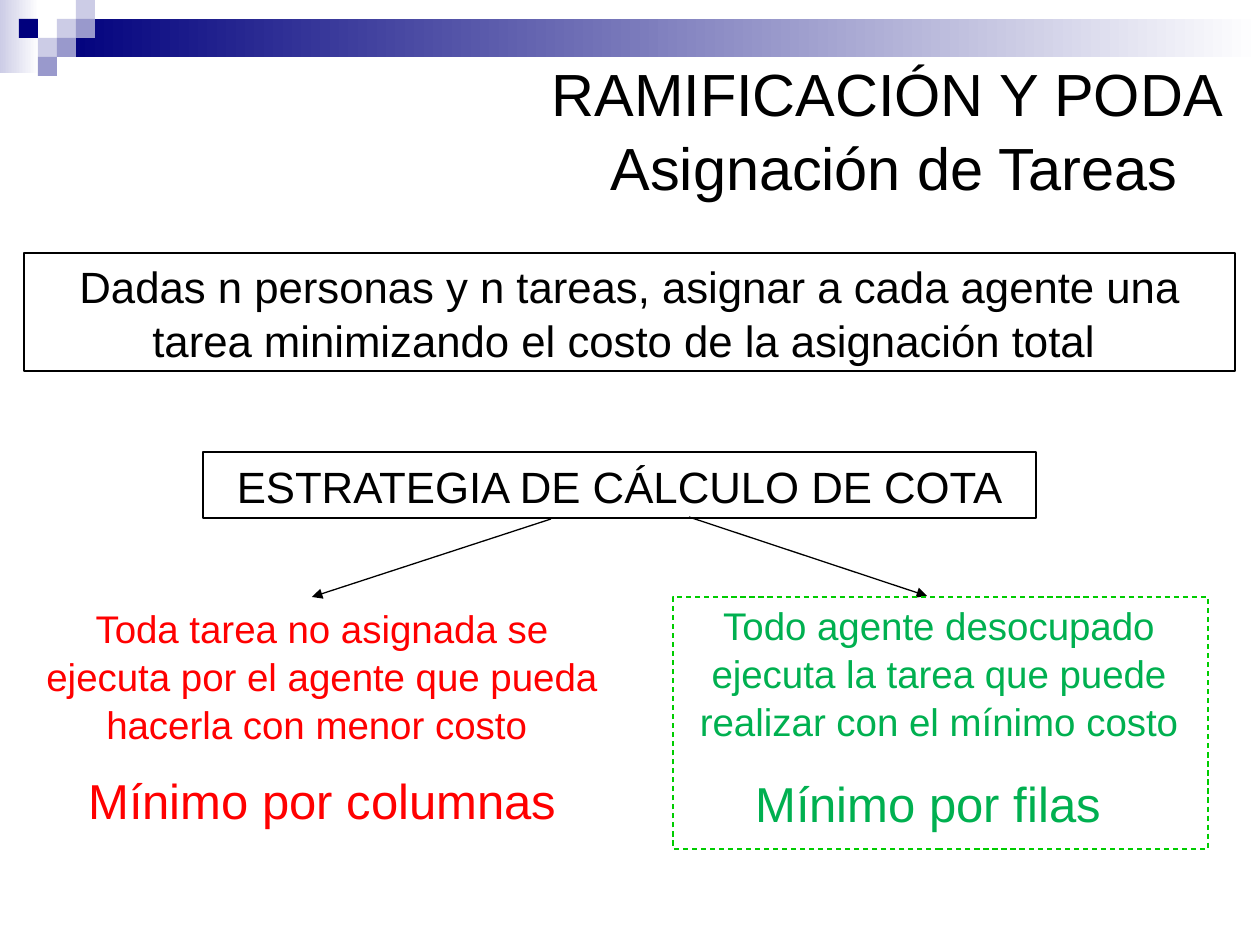
from lxml import etree
from pptx import Presentation, util as u
from pptx.dml.color import RGBColor
from pptx.enum import dml, shapes, text
from pptx.oxml.ns import qn

PX_PER_INCH = 126
BLACK, RED, GREEN = "000000", "FF0000", "00B050"
NAVY, LILAC, LAVENDER, WHITE = "00007D", "9999CC", "CCCCE6", "FFFFFF"


def px(length):
    return u.Emu(round(length * 914400 / PX_PER_INCH))


def rgb(value):
    return RGBColor.from_string(value)


def set_attributes(target, values):
    for name, value in values.items():
        setattr(target, name, value)


def write(frame, wording, size, color, align="CENTER", anchor="MIDDLE", wrap=True):
    set_attributes(frame, {
        "word_wrap": wrap,
        "auto_size": text.MSO_AUTO_SIZE.NONE,
        "vertical_anchor": getattr(text.MSO_ANCHOR, anchor),
    })
    frame.text = wording
    paragraph = frame.paragraphs[0]
    set_attributes(paragraph, {
        "alignment": getattr(text.PP_ALIGN, align),
        "line_spacing": 1.04,
    })
    font = paragraph.runs[0].font
    for run in paragraph.runs:
        font = run.font
        set_attributes(font, {"name": "Arial", "size": u.Pt(size)})
        font.color.rgb = rgb(color)


def add_rect(slide, box, fill=None, line=None, dash=None):
    """Draw a rectangle; fill is None, one colour or a pair for a gradient."""
    rect = slide.shapes.add_shape(shapes.MSO_SHAPE.RECTANGLE, *map(px, box))
    rect.shadow.inherit = False
    if fill is None:
        rect.fill.background()
    elif isinstance(fill, tuple):
        rect.fill.gradient()
        rect.fill.gradient_angle = 0
        for position, (stop, color) in enumerate(zip(rect.fill.gradient_stops, fill)):
            stop.position = position
            stop.color.rgb = rgb(color)
    else:
        rect.fill.solid()
        rect.fill.fore_color.rgb = rgb(fill)
    if line is None:
        rect.line.fill.background()
    else:
        rect.line.color.rgb = rgb(line)
        set_attributes(rect.line, {"width": u.Pt(0.75), "dash_style": dash})
    return rect


def add_label(slide, box, wording, size, color, **layout):
    label = slide.shapes.add_textbox(*map(px, box))
    write(label.text_frame, wording, size, color, **layout)


def add_framed_text(slide, box, wording):
    write(add_rect(slide, box, line=BLACK).text_frame, wording, 25, BLACK)


def add_arrow(slide, start, end):
    arrow = slide.shapes.add_connector(
        shapes.MSO_CONNECTOR.STRAIGHT, *map(px, start + end))
    arrow.line.color.rgb = rgb(BLACK)
    arrow.line.width = u.Pt(0.75)
    etree.SubElement(arrow.line._get_or_add_ln(), qn("a:tailEnd"), type="triangle")
    etree.SubElement(arrow._element.spPr, qn("a:effectLst"))


def add_banner(slide, box):
    """Gradient bar with a mosaic of squares at its left end."""
    left, top, width, height = box
    cell = 19
    add_rect(slide, (left, top, 39, height), (LAVENDER, WHITE))
    add_rect(slide, (left + 3 * cell, top + cell, width - 3 * cell, 2 * cell),
             (NAVY, WHITE))
    mosaic = [(3, 1, LAVENDER), (4, 0, LAVENDER), (4, 1, LILAC), (2, 2, LAVENDER),
              (1, 1, NAVY), (3, 2, LILAC), (2, 3, LILAC)]
    for column, row, color in mosaic:
        add_rect(slide, (left + column * cell, top + row * cell, cell, cell), color)


def add_title(slide, box):
    title = slide.shapes.title
    set_attributes(title, dict(zip(("left", "top", "width", "height"), map(px, box))))
    write(title.text_frame, "RAMIFICACIÓN Y PODA\v Asignación de Tareas", 34, BLACK)


def add_branch(slide, box, rule, summary, summary_box, color):
    """Rule above its summary; summary_box is relative to box."""
    left, top, width, _ = box
    dx, dy, summary_width, summary_height = summary_box
    add_label(slide, (left, top, width, 151), rule, 22, color)
    add_label(slide, (left + dx, top + dy, summary_width, summary_height),
              summary, 28, color, align="LEFT", anchor="TOP", wrap=False)


def add_strategy(slide, box):
    """Strategy heading with arrows to its two alternative bounds."""
    left, top, width, height = box
    add_framed_text(slide, (left + 179, top, 833, 66), "ESTRATEGIA DE CÁLCULO DE COTA")
    add_arrow(slide, (left + 527, top + 67), (left + 288, top + 145))
    add_arrow(slide, (left + 665, top + 65), (left + 903, top + 144))
    add_rect(slide, (left + 649, top + 145, 535, 252), line="00CC00",
             dash=dml.MSO_LINE.DASH)
    add_branch(slide, (left, top + 148, 596, height - 148),
               "Toda tarea no asignada se ejecuta por el agente que pueda "
               "hacerla con menor costo ",
               "Mínimo por columnas", (52, 162, 493, 72), RED)
    add_branch(slide, (left + 655, top + 145, 520, height - 145),
               "Todo agente desocupado ejecuta la tarea que puede realizar "
               "con el mínimo costo",
               "Mínimo por filas", (64, 168, 370, 72), GREEN)


def main():
    deck = Presentation()
    set_attributes(deck, {"slide_width": px(1260), "slide_height": px(945)})
    slide = deck.slides.add_slide(deck.slide_layouts.get_by_name("Title Only"))
    add_banner(slide, (0, 0, 1260, 73))
    add_title(slide, (510, 34, 755, 189))
    add_framed_text(slide, (24, 253, 1211, 118),
                    "Dadas n personas y n tareas, asignar a cada agente una tarea "
                    "minimizando el costo de la asignación total ")
    add_strategy(slide, (24, 452, 1184, 397))
    deck.save("out.pptx")


if __name__ == "__main__":
    main()
